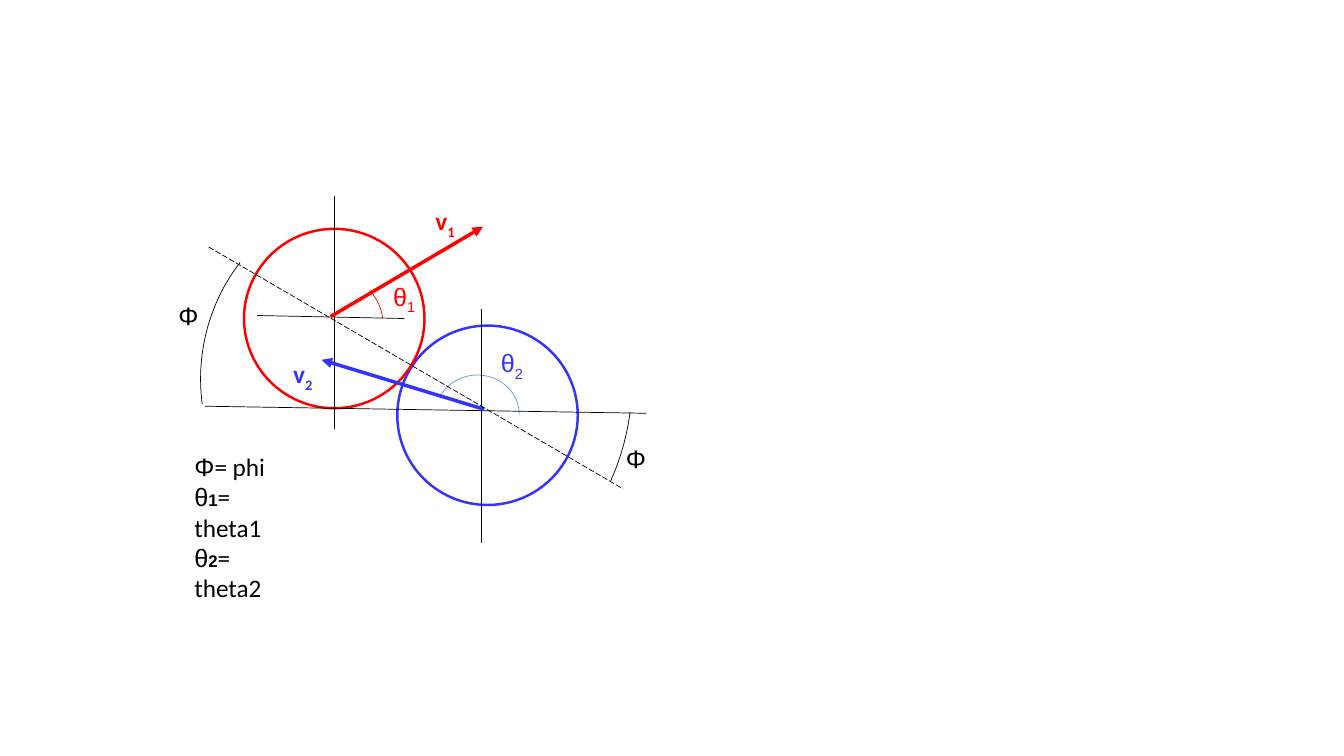
from pptx import Presentation
from pptx.dml.color import RGBColor
from pptx.enum.dml import MSO_LINE
from pptx.enum.shapes import MSO_CONNECTOR, MSO_SHAPE
from pptx.enum.text import MSO_AUTO_SIZE
from pptx.util import Inches, Pt
from lxml.etree import SubElement
from pptx.oxml.ns import qn

RED = RGBColor(0xFF, 0x00, 0x00)
BLUE = RGBColor(0x33, 0x33, 0xFF)
SKY = RGBColor(0x5B, 0x9B, 0xD5)
BLACK = RGBColor(0x00, 0x00, 0x00)

deck = Presentation()
deck.slide_width, deck.slide_height = Inches(13.33), Inches(7.5)
slide = deck.slides.add_slide(deck.slide_layouts[6])
shapes = slide.shapes
cell = Inches(0.1)


def grid(*spots):
    return [round(spot * cell) for spot in spots]


def write(para, text, color, **fmt):
    run = para.add_run()
    run.text = text
    run.font.color.rgb = color
    base = fmt.pop("base", None)
    for key, value in fmt.items():
        setattr(run.font, key, value)
    if base:
        run._r.get_or_add_rPr().set("baseline", base)


curves = [
    (MSO_SHAPE.OVAL, (39.4, 32.3, 17.9, 17.8), (), BLUE, 1.75),
    (MSO_SHAPE.OVAL, (24.2, 22.7, 17.9, 17.8), (), RED, 1.75),
    (MSO_SHAPE.ARC, (43.2, 37.2, 8.3, 7.8), (206.19, 0), SKY, 0.5),
    (MSO_SHAPE.ARC, (28, 27.2, 10, 10), (317.17, 352.5), RED, 0.5),
    (MSO_SHAPE.ARC, (19.9, 19.4, 34.4, 36.4), (171.73, 221.03), BLACK, 0.5),
    (MSO_SHAPE.ARC, (19.9, 14.7, 42.8, 46), (8.48, 27.63), BLACK, 0.5),
]
for kind, box, angles, color, width in curves:
    curve = shapes.add_shape(kind, *grid(*box))
    curve.shadow.inherit = False
    curve.fill.background()
    curve.line.color.rgb = color
    curve.line.width = Pt(width)
    for index, angle in enumerate(angles):
        curve.adjustments[index] = angle * 0.6

lines = [
    ((33.2, 19.4, 33.2, 42.6), BLACK, 0.5, None),
    ((40.1, 31.6, 25.5, 31.3), BLACK, 0.5, None),
    ((64.1, 41, 20.3, 40.3), BLACK, 0.5, None),
    ((47.7, 30.7, 47.7, 53.9), BLACK, 0.5, None),
    ((48, 40.6, 31.9, 35.7), BLUE, 2.5, "arrow"),
    ((32.8, 31.4, 47.9, 22.5), RED, 2.5, "arrow"),
    ((20.7, 24.5, 61.8, 48.5), BLACK, 0.5, "dash"),
]
for ends, color, width, style in lines:
    line = shapes.add_connector(MSO_CONNECTOR.STRAIGHT, *grid(*ends))
    line.line.color.rgb = color
    line.line.width = Pt(width)
    if style == "dash":
        line.line.dash_style = MSO_LINE.LONG_DASH
    if style == "arrow":
        SubElement(line.line._get_or_add_ln(), qn("a:tailEnd"), type="triangle")
    SubElement(line._element.spPr, qn("a:effectLst"))

bold = {"name": "Calibri", "size": Pt(18), "bold": True}
plain = {"name": "Calibri", "size": Pt(18)}
greek = {"name": "Arial", "size": Pt(18)}
small = {"name": "Arial", "size": Pt(12), "bold": True}
labels = [
    ((42.2, 19.9, 4.1, 4), "v", "1", RED, bold),
    ((28.1, 35.1, 4.1, 4), "v", "2", BLUE, bold),
    ((48.7, 34, 4.2, 4), "θ", "2", BLUE, greek),
    ((38, 27.4, 4.2, 4), "θ", "1", RED, greek),
    ((16.7, 29.3, 3.9, 4), "Φ", "", BLACK, greek),
    ((61.1, 43.5, 3.9, 4), "Φ", "", BLACK, greek),
]
for box, sign, sub, color, fmt in labels:
    frame = shapes.add_textbox(*grid(*box)).text_frame
    frame.word_wrap = False
    frame.auto_size = MSO_AUTO_SIZE.SHAPE_TO_FIT_TEXT
    para = frame.paragraphs[0]
    write(para, sign, color, **fmt)
    if sub:
        write(para, sub, color, base="-25000", **fmt)

legend = shapes.add_textbox(*grid(18.3, 44.3, 12, 10.1)).text_frame
legend.word_wrap = True
legend.auto_size = MSO_AUTO_SIZE.SHAPE_TO_FIT_TEXT
rows = [("Φ", "", "= phi"), ("θ", "1", "= theta1"), ("θ", "2", "= theta2")]
for index, (sign, sub, name) in enumerate(rows):
    para = legend.add_paragraph() if index else legend.paragraphs[0]
    write(para, sign, BLACK, **greek)
    if sub:
        write(para, sub, BLACK, **small)
    write(para, name, BLACK, **plain)

deck.save("out.pptx")
